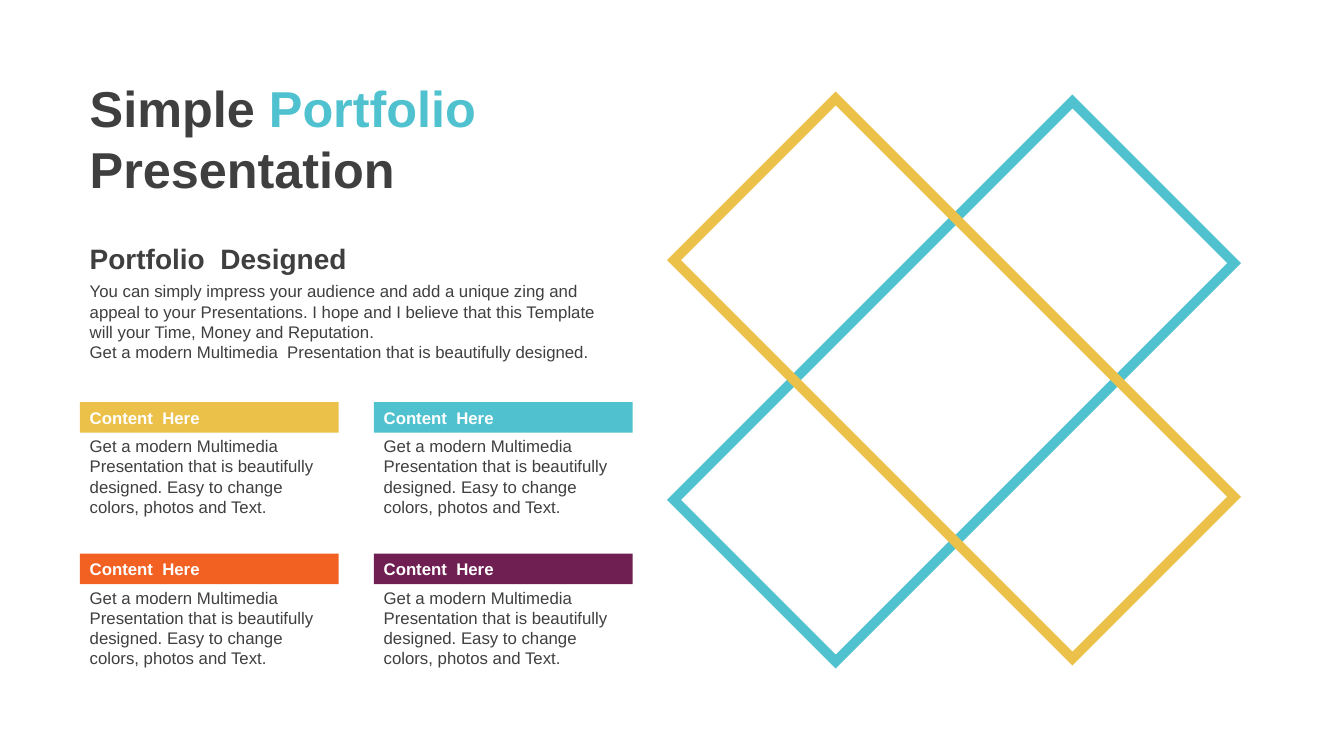
import pptx
import pptx.util
import pptx.dml.color
import pptx.enum.shapes
import pptx.enum.text
import lxml.etree
from dataclasses import dataclass
from typing import Any

Pt = pptx.util.Pt
Anchor = pptx.enum.text.MSO_ANCHOR
Align = pptx.enum.text.PP_ALIGN
Rect = pptx.enum.shapes.MSO_SHAPE.RECTANGLE


@dataclass(frozen=True)
class Theme:
    font: str = "Arial"
    dark: str = "3F3F3F"
    white: str = "FFFFFF"
    gold: str = "EBC149"
    teal: str = "4FC1CF"
    flame: str = "F26122"
    plum: str = "6F1F51"
    title: float = 36
    head: float = 20
    body: float = 12


@dataclass(frozen=True)
class Box:
    left: float
    top: float
    width: float
    height: float

    def place(self) -> list[int]:
        return [Pt(v) for v in (self.left, self.top, self.width, self.height)]


@dataclass(frozen=True)
class Run:
    text: str
    size: float
    color: str
    bold: bool = False


@dataclass(frozen=True)
class Band:
    top: float
    angle: float
    color: str


theme = Theme()
LEFT = 57
CARD_TOP = 287.3
CARD_WIDTH = 185
COL_STEP = 210
ROW_STEP = 108.2
BAR_HEIGHT = 21.8
NOTE_DROP = 20.5

BANDS = [Band(71.3, 45, theme.teal), Band(69.1, 315, theme.gold)]
CARDS = [theme.gold, theme.teal, theme.flame, theme.plum]
CARD_HEAD = "Content  Here"
CARD_NOTE = ("Get a modern Multimedia Presentation that is beautifully "
             "designed. Easy to change colors, photos and Text.")
INTRO = [
    "You can simply impress your audience and add a unique zing and appeal "
    "to your Presentations. I hope and I believe that this Template will "
    "your Time, Money and Reputation.",
    "Get a modern Multimedia  Presentation that is beautifully designed.",
]


def tint(code: str) -> pptx.dml.color.RGBColor:
    return pptx.dml.color.RGBColor.from_string(code)


def write(shape: Any, lines: list[list[Run]],
          anchor: Any = Anchor.TOP, space: float | None = None) -> None:
    """Fill a shape with paragraphs, each a list of runs."""
    frame = shape.text_frame
    frame.word_wrap = True
    frame.vertical_anchor = anchor
    for i, line in enumerate(lines):
        para = frame.add_paragraph() if i else frame.paragraphs[0]
        para.alignment = Align.LEFT
        para.line_spacing = space
        for part in line:
            run = para.add_run()
            run.text = part.text
            run.font.name = theme.font
            run.font.size = Pt(part.size)
            run.font.bold = part.bold
            run.font.color.rgb = tint(part.color)


def add_text(slide: Any, box: Box, lines: list[list[Run]],
             anchor: Any = Anchor.TOP, space: float | None = None) -> None:
    write(slide.shapes.add_textbox(*box.place()), lines, anchor, space)


def add_band(slide: Any, band: Band) -> None:
    """Draw a tilted open frame with sharp corners."""
    shape = slide.shapes.add_shape(Rect, *Box(599.8, band.top, 163.4, 402.5).place())
    shape.shadow.inherit = False
    shape.rotation = band.angle
    shape.fill.background()
    shape.line.color.rgb = tint(band.color)
    shape.line.width = Pt(7)
    line = shape.line.fill._xPr
    miter = lxml.etree.SubElement(line, pptx.oxml.ns.qn("a:miter"))
    miter.set("lim", "800000")


def add_card(slide: Any, left: float, top: float, color: str) -> None:
    bar = slide.shapes.add_shape(Rect, *Box(left, top, CARD_WIDTH, BAR_HEIGHT).place())
    bar.shadow.inherit = False
    bar.fill.solid()
    bar.fill.fore_color.rgb = tint(color)
    bar.line.fill.background()
    write(bar, [[Run(CARD_HEAD, theme.body, theme.white, True)]], Anchor.MIDDLE)
    add_text(slide, Box(left, top + NOTE_DROP, CARD_WIDTH, 65.4),
             [[Run(CARD_NOTE, theme.body, theme.dark)]])


def main() -> None:
    deck = pptx.Presentation()
    deck.slide_width, deck.slide_height = Pt(960), Pt(540)
    slide = deck.slides.add_slide(deck.slide_layouts[6])

    for band in BANDS:
        add_band(slide, band)

    add_text(slide, Box(LEFT, 169.2, 393, 28),
             [[Run("Portfolio  Designed", theme.head, theme.dark, True)]],
             Anchor.MIDDLE, 1.1)
    add_text(slide, Box(LEFT, 197.3, 393, 65.4),
             [[Run(text, theme.body, theme.dark)] for text in INTRO])

    for i, color in enumerate(CARDS):
        row, col = divmod(i, 2)
        add_card(slide, LEFT + col * COL_STEP, CARD_TOP + row * ROW_STEP, color)

    add_text(slide, Box(LEFT, 51.8, 331, 94.5), [
        [Run("Simple", theme.title, theme.dark, True),
         Run(" Portfolio", theme.title, theme.teal, True)],
        [Run("Presentation", theme.title, theme.dark, True)],
    ])
    deck.save("out.pptx")


if __name__ == "__main__":
    main()
